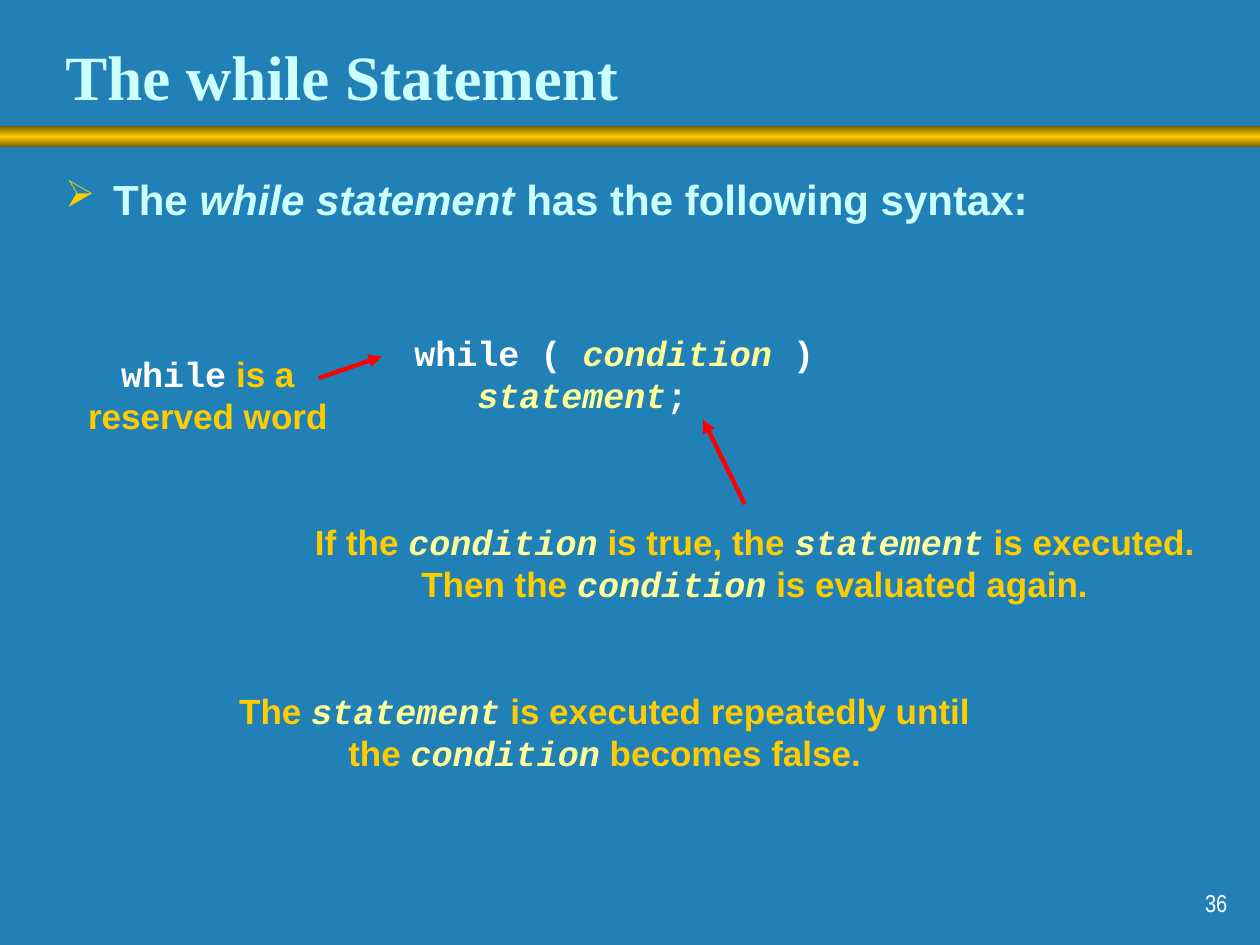
"""Build the slide that explains the syntax of the while statement."""
from copy import deepcopy
from dataclasses import dataclass

from lxml.etree import SubElement as Sub
from pptx import Presentation as Deck
from pptx.dml.color import RGBColor as Rgb
from pptx.enum.shapes import MSO_CONNECTOR as Link, MSO_SHAPE as Kind
from pptx.enum.text import MSO_ANCHOR as Anchor, PP_ALIGN as Align
from pptx.oxml.ns import qn
from pptx.util import Inches as In, Pt


@dataclass(frozen=True)
class Theme:
    back: str = "2181B7"
    ice: str = "CCFFFF"
    gold: str = "FFCC00"
    dark: str = "755E00"
    pale: str = "FFFF99"
    white: str = "FFFFFF"
    red: str = "FF0000"
    head: int = 36
    lead: int = 24
    note: int = 20
    foot: int = 14

    def styles(self):
        def make(name, size, tint, bold=True, italic=False):
            font = {"name": name, "size": Pt(size), "bold": bold, "italic": italic}
            return font, Rgb.from_string(tint)

        return {
            "head": make("Times New Roman", self.head, self.ice),
            "lead": make("Arial", self.lead, self.ice),
            "term": make("Arial", self.lead, self.ice, italic=True),
            "note": make("Arial", self.note, self.gold),
            "code": make("Courier New", self.note, self.white),
            "part": make("Courier New", self.note, self.pale, italic=True),
            "foot": make("Arial Narrow", self.foot, self.white, bold=False),
        }


class Page:
    def __init__(self, slide, theme):
        self.slide, self.theme = slide, theme
        self.styles = theme.styles()
        fill = slide.background.fill
        fill.solid()
        fill.fore_color.rgb = Rgb.from_string(theme.back)

    def bar(self, *box):
        shape = self.slide.shapes.add_shape(Kind.RECTANGLE, *map(In, box))
        shape.shadow.inherit = False
        shape.line.fill.background()
        fill = shape.fill
        fill.gradient()
        fill.gradient_angle = 90
        stops = next(shape._element.iter(qn("a:gsLst")))
        stops.append(deepcopy(stops[0]))
        tints = (self.theme.dark, self.theme.gold, self.theme.dark)
        for stop, place, tint in zip(fill.gradient_stops, (0, 0.5, 1), tints):
            stop.position = place
            stop.color.rgb = Rgb.from_string(tint)

    def text(self, box, lines, anchor=Anchor.MIDDLE, wrap=False, **form):
        frame = self.slide.shapes.add_textbox(*map(In, box)).text_frame
        frame.word_wrap, frame.vertical_anchor = wrap, anchor
        for i, line in enumerate(lines):
            para = frame.add_paragraph() if i else frame.paragraphs[0]
            for key, value in form.items():
                setattr(para, key, value)
            for style, words in line:
                run = para.add_run()
                run.text = words
                font, tint = self.styles[style]
                for key, value in font.items():
                    setattr(run.font, key, value)
                run.font.color.rgb = tint
        return frame

    def indent(self, para, left, first=0):
        props = para._p.get_or_add_pPr()
        props.set("marL", str(In(left)))
        props.set("indent", str(In(first)))
        return props

    def bullet(self, box, line):
        frame = self.text(box, [line], Anchor.TOP, True, space_before=Pt(6))
        props = self.indent(frame.paragraphs[0], 0.38, -0.38)
        tint = Sub(props, qn("a:buClr"))
        Sub(tint, qn("a:srgbClr"), val=self.theme.gold)
        Sub(props, qn("a:buSzPct"), val="90000")
        Sub(props, qn("a:buChar"), char="➢")

    def arrow(self, *ends):
        link = self.slide.shapes.add_connector(Link.STRAIGHT, *map(In, ends))
        link.line.width = Pt(2.5)
        link.line.color.rgb = Rgb.from_string(self.theme.red)
        Sub(link.line._get_or_add_ln(), qn("a:tailEnd"), type="triangle")
        Sub(link._element.spPr, qn("a:effectLst"))


def main():
    deck = Deck()
    deck.slide_width, deck.slide_height = In(10), In(7.5)
    page = Page(deck.slides.add_slide(deck.slide_layouts[6]), Theme())
    cond, stmt = ("part", "condition"), ("part", "statement")

    page.bar(0, 1, 10, 0.17)
    page.text((0.42, 0.22, 8.55, 0.75), [[("head", "The while Statement")]], wrap=True)
    page.bullet((0.42, 1.33, 9.08, 0.86), [
        ("lead", "The "), ("term", "while statement"),
        ("lead", " has the following syntax:")])

    syntax = page.text((3.19, 2.58, 3.37, 0.77), [
        [("code", "while ( "), cond, ("code", " )")],
        [stmt, ("code", ";")]])
    page.indent(syntax.paragraphs[1], 0.5)

    notes = [
        ((0.6, 2.75, 2.1, 0.77), [
            [("code", "while"), ("note", " is a")],
            [("note", "reserved word")]]),
        ((2.4, 4.08, 7.18, 0.77), [
            [("note", "If the "), cond, ("note", " is true, the "), stmt,
             ("note", " is executed.")],
            [("note", "Then the "), cond, ("note", " is evaluated again.")]]),
        ((1.8, 5.42, 6, 0.77), [
            [("note", "The "), stmt, ("note", " is executed repeatedly until")],
            [("note", "the "), cond, ("note", " becomes false.")]]),
    ]
    for box, lines in notes:
        page.text(box, lines, alignment=Align.CENTER)
    page.arrow(2.53, 3, 3.03, 2.83)
    page.arrow(5.91, 4, 5.58, 3.33)

    page.text((7.76, 6.83, 2.08, 0.5), [[("foot", "36")]], Anchor.BOTTOM, True,
              alignment=Align.RIGHT)
    deck.save("out.pptx")


if __name__ == "__main__":
    main()
